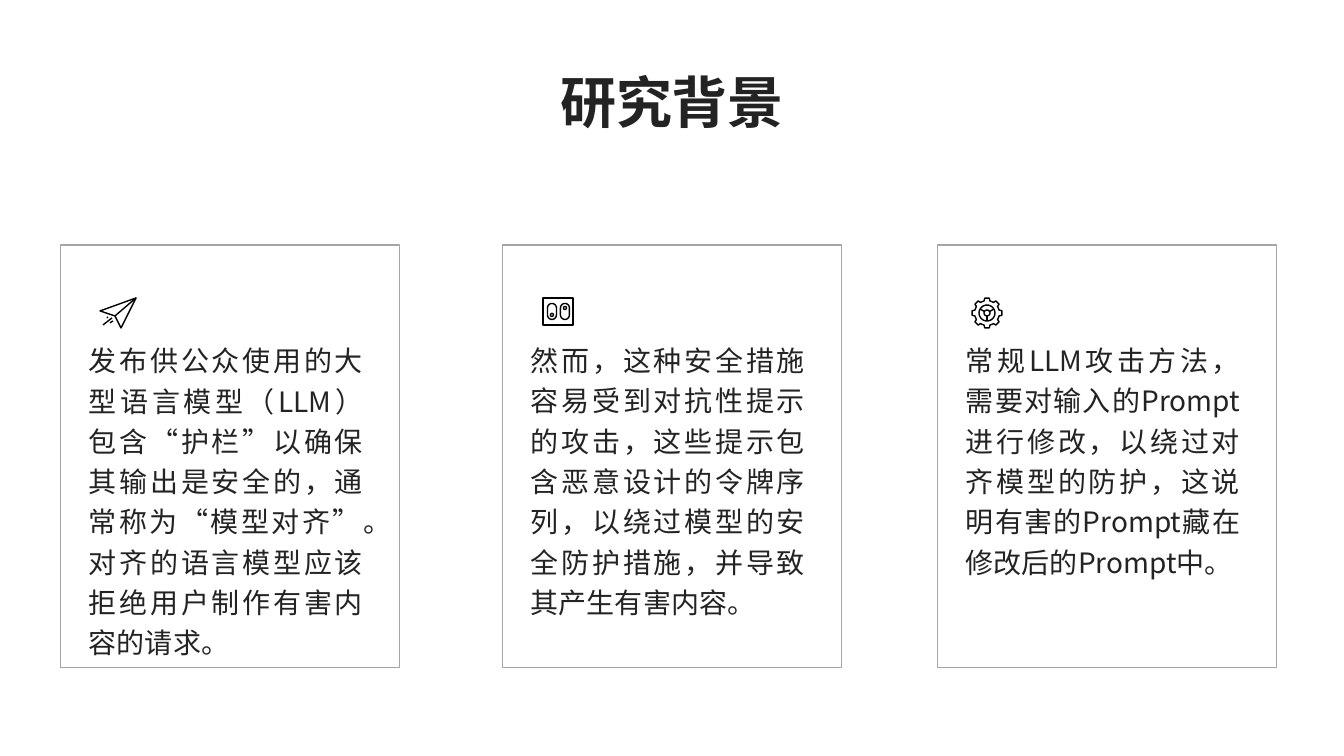
from dataclasses import dataclass
from math import cos, radians, sin

from lxml.etree import SubElement
from pptx import Presentation
from pptx.dml.color import RGBColor as RGB
from pptx.enum.shapes import MSO_SHAPE as SHAPE
from pptx.enum.text import MSO_ANCHOR as ANCHOR, PP_ALIGN as ALIGN
from pptx.oxml.ns import qn
from pptx.util import Pt

EMU_PER_PX = 914400 / 100.8


@dataclass(frozen=True)
class Theme:
    font: str = "Noto Sans CJK SC"
    text: RGB = RGB(0x23, 0x23, 0x23)
    border: RGB = RGB(0xA5, 0xA5, 0xA5)
    icon: RGB = RGB(0, 0, 0)
    title_size: int = 40
    body_size: int = 20
    line_spacing: float = 1.2
    border_width: float = 0.75
    icon_width: float = 1


THEME = Theme()


def px(*lengths):
    return [round(n * EMU_PER_PX) for n in lengths]


# Text
def write(tf, text, size, align, bold=False):
    tf.word_wrap = True
    tf.vertical_anchor = ANCHOR.TOP
    p = tf.paragraphs[0]
    p.text = text
    p.alignment = align
    p.line_spacing = THEME.line_spacing
    font = p.font
    font.size = Pt(size)
    font.bold = bold
    font.color.rgb = THEME.text
    font.name = THEME.font
    SubElement(p._p.pPr.find(qn("a:defRPr")), qn("a:ea"), typeface=THEME.font)


def add_title(slide, text):
    sp = slide.shapes.title
    sp.left, sp.top, sp.width, sp.height = px(425, 49, 494, 92)
    write(sp.text_frame, text, THEME.title_size, ALIGN.CENTER, bold=True)


def add_body(slide, text, *box):
    sp = slide.shapes.add_textbox(*px(*box))
    write(sp.text_frame, text, THEME.body_size, ALIGN.JUSTIFY)


# Shapes
def outline(sp, color, width):
    sp.shadow.inherit = False
    sp.fill.background()
    sp.line.color.rgb = color
    sp.line.width = Pt(width)


def add_icon(slide, x, y, closed, strokes=()):
    """Draw closed contours and open strokes, measured from (x, y), as one shape."""
    contours = [(points, True) for points in closed]
    contours += [(points, False) for points in strokes]
    builder = None
    for points, close in contours:
        start, *rest = [px(x + dx, y + dy) for dx, dy in points]
        if builder is None:
            builder = slide.shapes.build_freeform(*start)
        else:
            builder.move_to(*start)
        builder.add_line_segments(rest, close=close)
    outline(builder.convert_to_shape(), THEME.icon, THEME.icon_width)


# Contours
def polar(cx, cy, radius, degrees):
    angle = radians(degrees)
    return cx + radius * cos(angle), cy + radius * sin(angle)


def circle(cx, cy, radius):
    return [polar(cx, cy, radius, a) for a in range(0, 360, 20)]


def capsule(cx, top, bottom, radius):
    return ([polar(cx, top, radius, a) for a in range(180, 361, 20)]
            + [polar(cx, bottom, radius, a) for a in range(0, 181, 20)])


# Icons
def draw_plane(slide, x, y):
    add_icon(slide, x, y,
             closed=[[(36, 0), (0, 13), (15, 18), (21, 30)]],
             strokes=[[(15, 18), (36, 0)], [(13, 23), (10, 25)],
                      [(12, 20), (3, 27)], [(8, 19), (7, 20)]])


def draw_switches(slide, x, y):
    closed = [[(0, 0), (30, 0), (30, 27), (0, 27)]]
    for cx, knob_y in [(9, 17), (22, 10)]:
        closed += [capsule(cx, 10, 17, 4.5), circle(cx, knob_y, 1.5)]
    add_icon(slide, x, y, closed)


def draw_gear(slide, x, y):
    tooth = [(15, -9), (15, 9), (12.5, 13), (12.5, 32)]
    rim = [polar(15, 15, radius, 45 * i + offset)
           for i in range(8) for radius, offset in tooth]
    spokes = [[polar(15, 15, radius, a) for radius in (3, 8)] for a in (90, 210, 330)]
    add_icon(slide, x, y, [rim, circle(15, 15, 8), circle(15, 15, 3)], spokes)


# Card: frame, icon and text
def add_card(slide, left, draw_icon, icon_dx, text_height, text):
    frame = slide.shapes.add_shape(SHAPE.RECTANGLE, *px(left, 245, 339, 423))
    outline(frame, THEME.border, THEME.border_width)
    draw_icon(slide, left + icon_dx, 298)
    add_body(slide, text, left + 18, 332, 294, text_height)


CARDS = [
    (61, draw_plane, 39, 336,
     "发布供公众使用的大型语言模型（LLM）包含“护栏”以确保其输出是安全的，"
     "通常称为“模型对齐”。对齐的语言模型应该拒绝用户制作有害内容的请求。"),
    (503, draw_switches, 40, 295,
     "然而，这种安全措施容易受到对抗性提示的攻击，这些提示包含恶意设计的令牌序列，"
     "以绕过模型的安全防护措施，并导致其产生有害内容。"),
    (938, draw_gear, 34, 254,
     "常规LLM攻击方法，需要对输入的Prompt进行修改，以绕过对齐模型的防护，"
     "这说明有害的Prompt藏在修改后的Prompt中。"),
]


def main():
    prs = Presentation()
    prs.slide_width, prs.slide_height = px(1344, 756)
    slide = prs.slides.add_slide(prs.slide_layouts[5])
    add_title(slide, "研究背景")
    for card in CARDS:
        add_card(slide, *card)
    prs.save("out.pptx")


if __name__ == "__main__":
    main()
